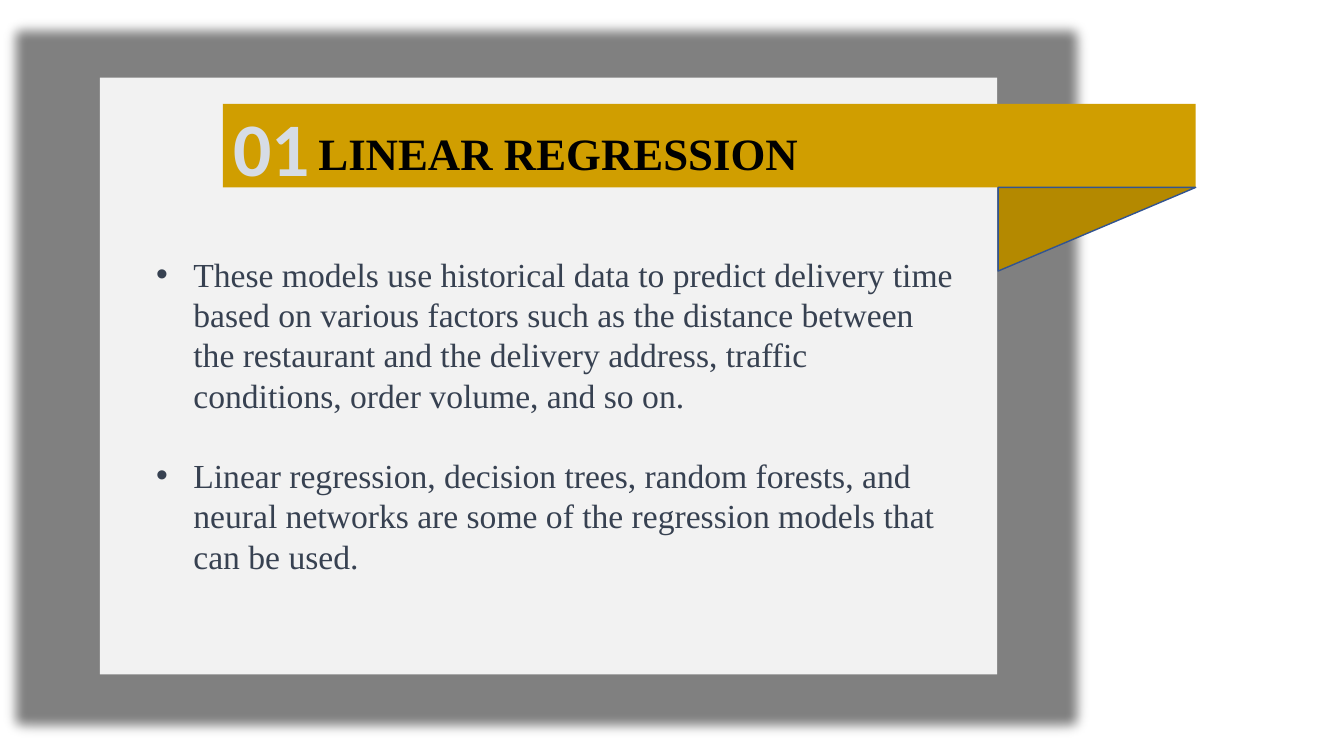
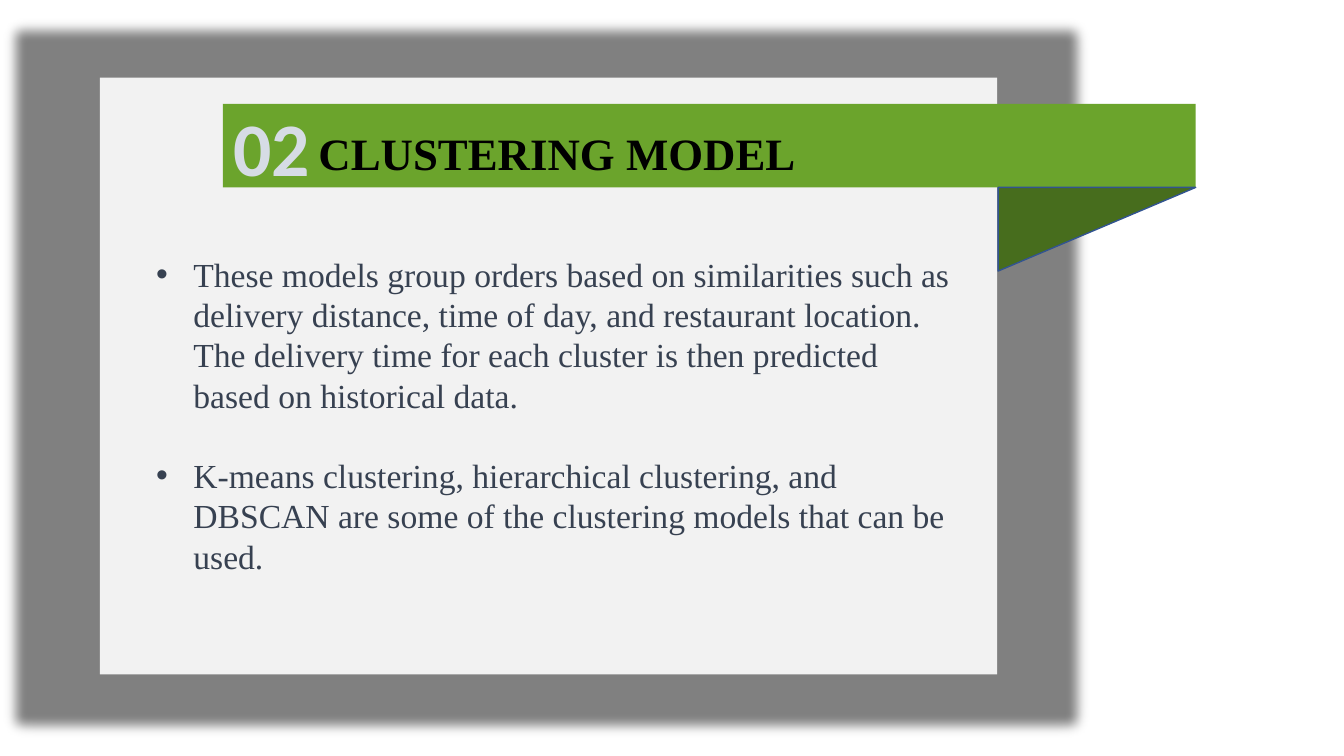
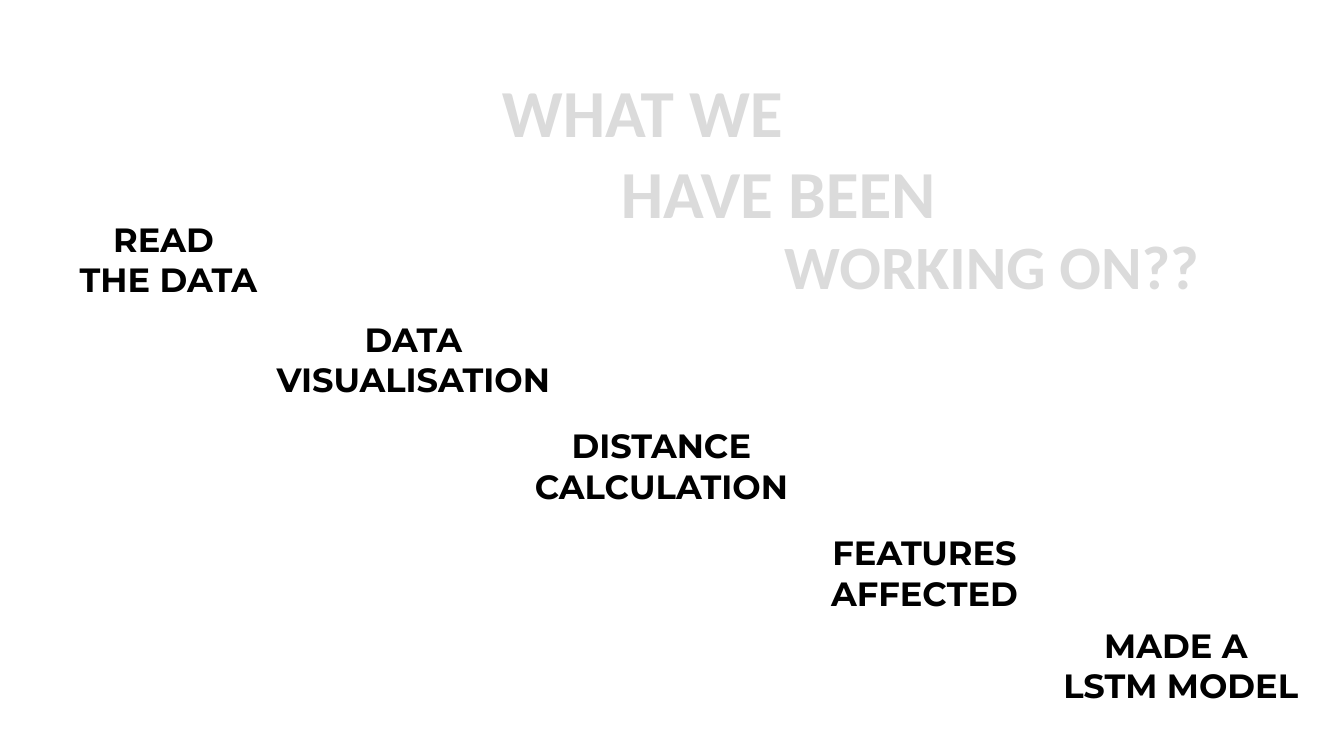
import pptx
import pptx.util
import pptx.dml.color
import pptx.enum.shapes
import pptx.enum.text
import lxml.etree

Inches = pptx.util.Inches
Pt = pptx.util.Pt
RGB = pptx.dml.color.RGBColor
SHAPE = pptx.enum.shapes.MSO_SHAPE
ALIGN = pptx.enum.text.PP_ALIGN
A = "{http://schemas.openxmlformats.org/drawingml/2006/main}"

BLACK = RGB(0x00, 0x00, 0x00)
WHITE = RGB(0xFF, 0xFF, 0xFF)
GREY = RGB(0x80, 0x80, 0x80)
PAPER = RGB(0xF2, 0xF2, 0xF2)
INK = RGB(0x37, 0x41, 0x51)
EDGE = RGB(0x32, 0x54, 0x91)
PALE = RGB(0xD6, 0xDC, 0xE5)
SILVER = RGB(0xDB, 0xDB, 0xDB)
GOLD, BRONZE = RGB(0xD0, 0x9E, 0x00), RGB(0xB4, 0x89, 0x00)
GREEN, MOSS = RGB(0x6B, 0xA4, 0x2C), RGB(0x47, 0x6D, 0x1D)

SERIF, SANS, BOLD = "Times New Roman", "Calibri", "Montserrat"
LINE = Pt(28.75)
HANG = Inches(0.37)

MODELS = [
    ("01", "LINEAR REGRESSION", GOLD, BRONZE, [
        "These models use historical data to predict delivery time based on "
        "various factors such as the distance between the restaurant and the "
        "delivery address, traffic conditions, order volume, and so on.",
        "Linear regression, decision trees, random forests, and neural "
        "networks are some of the regression models that can be used."]),
    ("02", "CLUSTERING MODEL", GREEN, MOSS, [
        "These models group orders based on similarities such as delivery "
        "distance, time of day, and restaurant location. The delivery time "
        "for each cluster is then predicted based on historical data.",
        "K-means clustering, hierarchical clustering, and DBSCAN are some of "
        "the clustering models that can be used."]),
]

# text, left, top, size
HEADING = [
    ("WHAT WE", 4.88, 0.65, 48),
    ("HAVE BEEN", 6.06, 1.45, 48),
    ("WORKING ON??", 7.68, 2.21, 44),
]

# lines, left, top
STEPS = [
    (["READ ", "THE DATA"], 0.2, 2.12),
    (["DATA", "VISUALISATION"], 2.63, 3.11),
    (["DISTANCE", "CALCULATION"], 5.09, 4.17),
    (["FEATURES", "AFFECTED"], 7.7, 5.23),
    (["MADE A ", "LSTM MODEL"], 10.24, 6.15),
]

# left, top, width, height
PILLS = [
    (2.62, 2.99, 2.94, 1.29),
    (5.01, 3.99, 3.09, 1.38),
    (7.61, 5.05, 2.94, 1.29),
    (10.15, 5.97, 2.94, 1.29),
]


def block(slide, kind, box, fill, line=None):
    shape = slide.shapes.add_shape(kind, *map(Inches, box))
    shape.shadow.inherit = False
    shape.fill.solid()
    shape.fill.fore_color.rgb = fill
    if line is None:
        shape.line.fill.background()
    else:
        shape.line.color.rgb = line
        shape.line.width = Pt(1)
    return shape


def write(slide, lines, box, font, size, color, bold=True, align=ALIGN.LEFT, wrap=True):
    frame = slide.shapes.add_textbox(*map(Inches, box)).text_frame
    frame.word_wrap = wrap
    frame.text = "\n".join(lines)
    for para in frame.paragraphs:
        para.alignment = align
        for run in para.runs:
            run.font.name = font
            run.font.size = Pt(size)
            run.font.bold = bold
            run.font.color.rgb = color
    return frame


def bullets(frame):
    """Hang each paragraph on a bullet, one line apart."""
    for i, para in enumerate(frame.paragraphs):
        para.line_spacing = LINE
        para.space_before = LINE if i else Pt(0)
        props = para._p.get_or_add_pPr()
        props.set("marL", str(HANG))
        props.set("indent", str(-HANG))
        lxml.etree.SubElement(props, A + "buFont", typeface="Arial")
        lxml.etree.SubElement(props, A + "buChar", char="•")


def soften(shape, radius):
    """Blur the edge of a shape."""
    effects = shape._element.spPr.find(A + "effectLst")
    lxml.etree.SubElement(effects, A + "softEdge", rad=str(radius))


def model(slide, number, title, band, fold, points):
    soften(block(slide, SHAPE.RECTANGLE, (0, 0.14, 10.86, 7.23), GREY), Pt(10))
    block(slide, SHAPE.RECTANGLE, (0.99, 0.77, 8.9, 5.92), PAPER)
    block(slide, SHAPE.RECTANGLE, (2.21, 1.03, 9.65, 0.83), band)
    flap = block(slide, SHAPE.RIGHT_TRIANGLE, (9.9, 1.86, 1.96, 0.83), fold, EDGE)
    flap._element.spPr.find(A + "xfrm").set("flipV", "1")
    write(slide, [title], (3.06, 1.2, 6.75, 0.64), SERIF, 32, BLACK)
    bullets(write(slide, points, (1.45, 2.47, 8.2, 3.33), SERIF, 24, INK, bold=False))
    write(slide, [number], (2.21, 0.95, 0.97, 1.01), SANS, 54, PALE,
          align=ALIGN.CENTER, wrap=False)


def steps(slide):
    for box in PILLS:
        block(slide, SHAPE.ROUNDED_RECTANGLE, box, WHITE).adjustments[0] = 0.5
    for text, left, top, size in HEADING:
        write(slide, [text], (left, top, 4.8, 0.9), SANS, size, SILVER)
    for lines, left, top in STEPS:
        write(slide, lines, (left, top, 2.94, 0.91), BOLD, 24, BLACK, align=ALIGN.CENTER)


def main():
    deck = pptx.Presentation()
    deck.slide_width, deck.slide_height = Inches(13.33), Inches(7.5)
    blank = deck.slide_layouts[6]
    for item in MODELS:
        model(deck.slides.add_slide(blank), *item)
    steps(deck.slides.add_slide(blank))
    deck.save("out.pptx")


if __name__ == "__main__":
    main()
